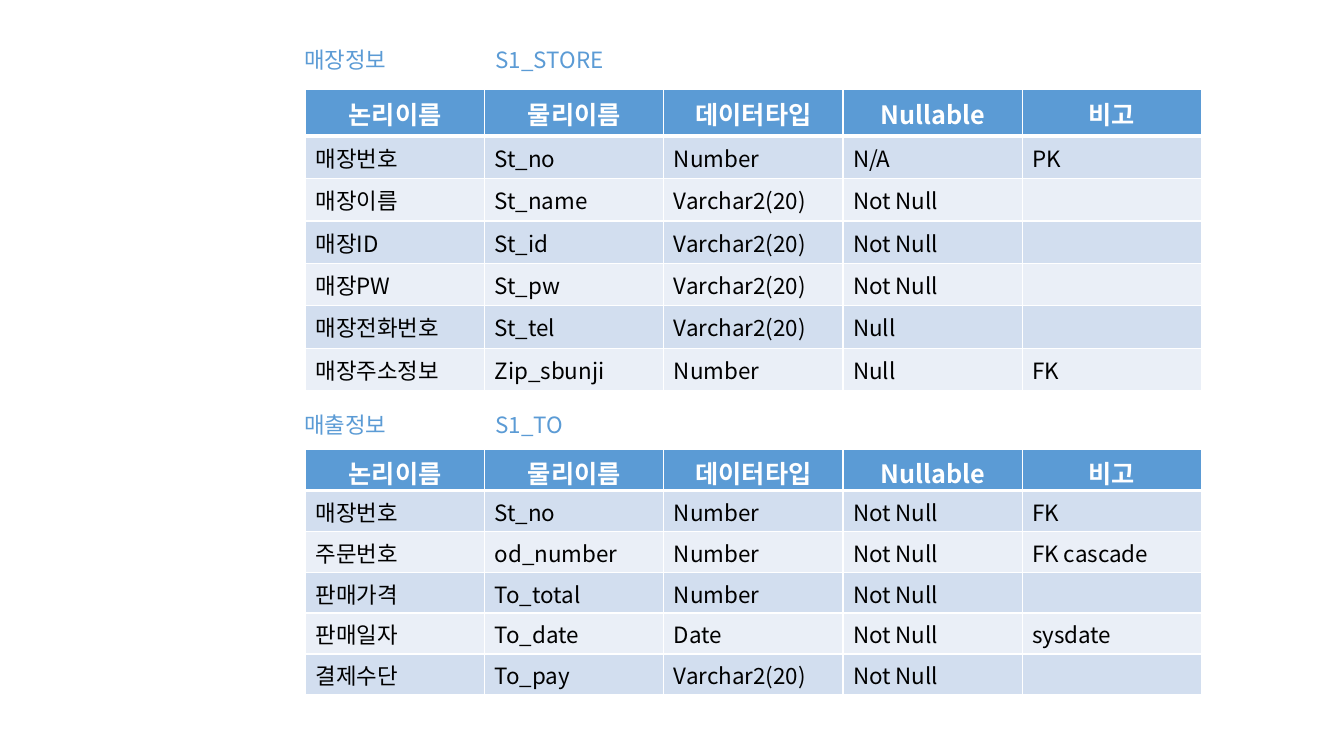
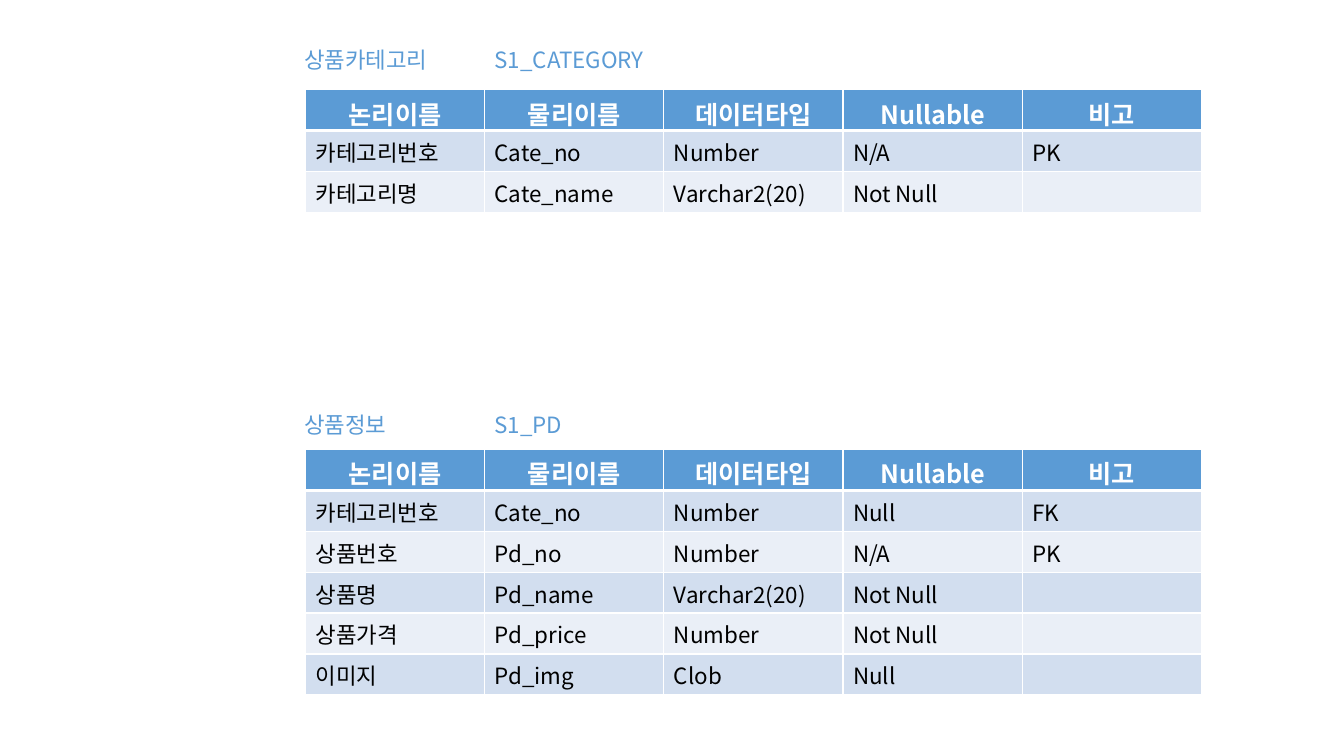
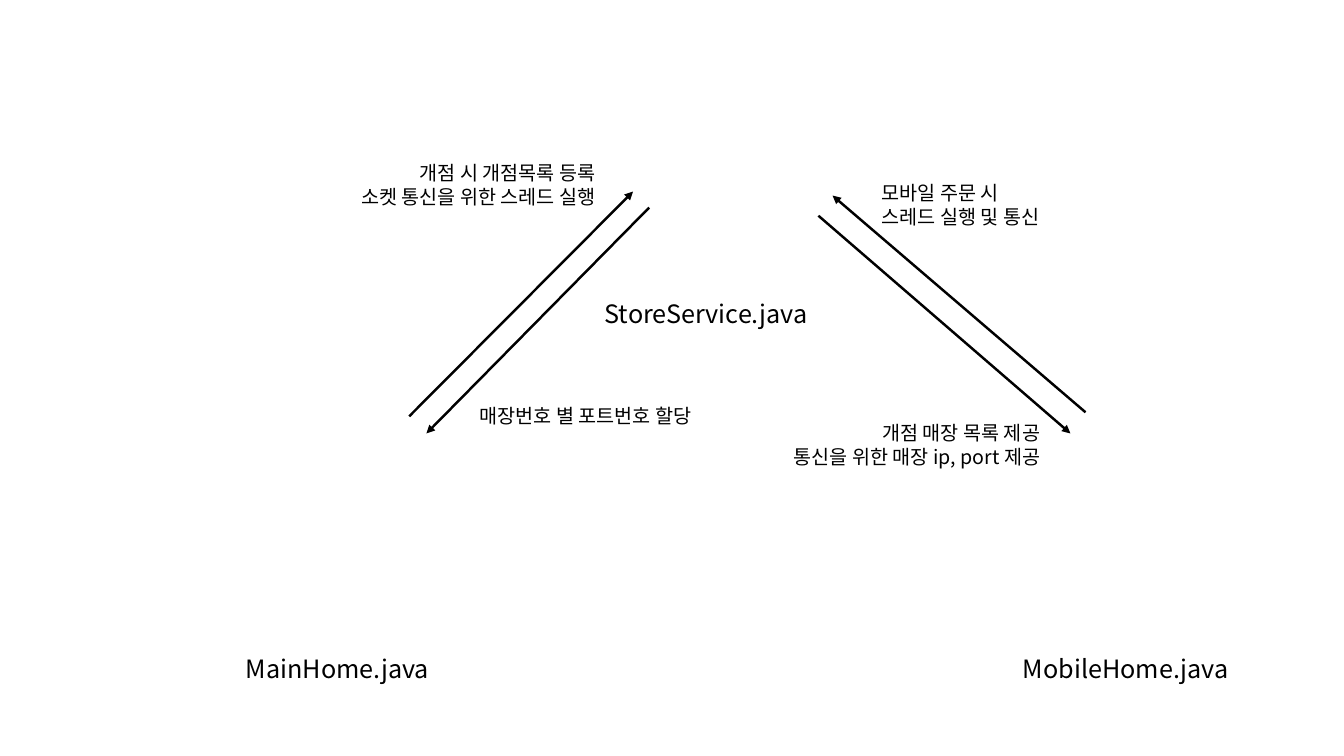
from lxml import etree
from pptx import Presentation
from pptx.dml.color import RGBColor
from pptx.enum import shapes, text
from pptx.oxml.ns import qn
from pptx.util import Pt

FONT = "Noto Sans CJK KR"
BLUE = RGBColor(0x5B, 0x9B, 0xD5)
BAND_DARK = RGBColor(0xD2, 0xDE, 0xEF)
BAND_LIGHT = RGBColor(0xEA, 0xEF, 0xF7)
WHITE = RGBColor(0xFF, 0xFF, 0xFF)
BLACK = RGBColor(0, 0, 0)
LEFT, RIGHT = text.PP_ALIGN.LEFT, text.PP_ALIGN.RIGHT

HEADER = ("논리이름", "물리이름", "데이터타입", "Nullable", "비고")
HEADER_FORMAT = {"size": Pt(18), "bold": True, "color": WHITE}
BODY_FORMAT = {"size": Pt(16), "bold": False, "color": BLACK}
CAPTION_FORMAT = {"size": Pt(16), "color": BLUE}
FILE_FORMAT = {"size": Pt(18), "color": BLACK}
NOTE_FORMAT = {"size": Pt(14), "color": BLACK}

TABLE_LEFT, COLUMN_WIDTH, ROW_HEIGHT = 218.2, 128, 29.2
CAPTION_LEFT, CAPTION_HEIGHT = 210.2, 26.6
# caption top, table top, bottom cell margin
UPPER = (29.5, 64.1, 3.6)
LOWER = (290.2, 321.1, 0)

# Per slide: left of the table names, then (place, caption, name, rows);
# caption and name are (text, box width)
TABLE_SLIDES = [
    (347, [
        (UPPER, ("매장정보", 76.3), ("S1_STORE", 107.3), [
            ("매장번호", "St_no", "Number", "N/A", "PK"),
            ("매장이름", "St_name", "Varchar2(20)", "Not Null", ""),
            ("매장ID", "St_id", "Varchar2(20)", "Not Null", ""),
            ("매장PW", "St_pw", "Varchar2(20)", "Not Null", ""),
            ("매장전화번호", "St_tel", "Varchar2(20)", "Null", ""),
            ("매장주소정보", "Zip_sbunji", "Number", "Null", "FK"),
        ]),
        (LOWER, ("매출정보", 76.3), ("S1_TO", 70.6), [
            ("매장번호", "St_no", "Number", "Not Null", "FK"),
            ("주문번호", "od_number", "Number", "Not Null", "FK cascade"),
            ("판매가격", "To_total", "Number", "Not Null", ""),
            ("판매일자", "To_date", "Date", "Not Null", "sysdate"),
            ("결제수단", "To_pay", "Varchar2(20)", "Not Null", ""),
        ]),
    ]),
    (346.2, [
        (UPPER, ("상품카테고리", 108), ("S1_CATEGORY", 151.9), [
            ("카테고리번호", "Cate_no", "Number", "N/A", "PK"),
            ("카테고리명", "Cate_name", "Varchar2(20)", "Not Null", ""),
        ]),
        (LOWER, ("상품정보", 76.3), ("S1_PD", 68.4), [
            ("카테고리번호", "Cate_no", "Number", "Null", "FK"),
            ("상품번호", "Pd_no", "Number", "N/A", "PK"),
            ("상품명", "Pd_name", "Varchar2(20)", "Not Null", ""),
            ("상품가격", "Pd_price", "Number", "Not Null", ""),
            ("이미지", "Pd_img", "Clob", "Null", ""),
        ]),
    ]),
]

# left, top, width, height, lines, format, alignment
FLOW_LABELS = [
    (168.5, 463, 173.5, 28.8, ["MainHome.java"], FILE_FORMAT, LEFT),
    (723.6, 463.4, 191.5, 28.8, ["MobileHome.java"], FILE_FORMAT, LEFT),
    (424.8, 209.5, 198, 28.8, ["StoreService.java"], FILE_FORMAT, LEFT),
    (239, 111.6, 193.7, 41, ["개점 시 개점목록 등록", "소켓 통신을 위한 스레드 실행"],
     NOTE_FORMAT, RIGHT),
    (335.5, 285.1, 176.4, 24.5, ["매장번호 별 포트번호 할당"], NOTE_FORMAT, LEFT),
    (543.6, 297.4, 206.6, 41, ["개점 매장 목록 제공", "통신을 위한 매장 ip, port 제공"],
     NOTE_FORMAT, RIGHT),
    (622.8, 126, 135.4, 41, ["모바일 주문 시", "스레드 실행 및 통신"], NOTE_FORMAT, LEFT),
]

# start x, start y, tip x, tip y
FLOW_ARROWS = [
    (292.3, 297.4, 452.2, 136.8),
    (463.7, 148.3, 304.6, 309.6),
    (584.6, 154.1, 764.6, 309.6),
    (775.4, 294.5, 594.7, 139.7),
]


def write(paragraph, words, styles, alignment):
    paragraph.alignment = alignment
    if not words:
        return
    run = paragraph.add_run()
    run.text = words
    run.font.name = FONT
    etree.SubElement(run.font._element, qn("a:ea"), typeface=FONT)
    for key, value in styles.items():
        if key == "color":
            run.font.color.rgb = value
        else:
            setattr(run.font, key, value)


def add_label(slide, left, top, width, height, lines, styles, alignment=LEFT):
    box = slide.shapes.add_textbox(Pt(left), Pt(top), Pt(width), Pt(height))
    frame = box.text_frame
    frame.word_wrap = False
    frame.auto_size = text.MSO_AUTO_SIZE.SHAPE_TO_FIT_TEXT
    for index, line in enumerate(lines):
        paragraph = frame.add_paragraph() if index else frame.paragraphs[0]
        write(paragraph, line, styles, alignment)


def add_borders(cell, top, bottom):
    """Draw white cell borders; top and bottom are widths in points."""
    properties = cell._tc.get_or_add_tcPr()
    for side, width in (("L", 1), ("R", 1), ("T", top), ("B", bottom)):
        line = etree.SubElement(properties, qn(f"a:ln{side}"), w=str(Pt(width)))
        fill = etree.SubElement(line, qn("a:solidFill"))
        etree.SubElement(fill, qn("a:srgbClr"), val=str(WHITE))


def add_schema_table(slide, top, bottom_margin, body):
    rows = [HEADER] + body
    table = slide.shapes.add_table(
        len(rows), len(HEADER), Pt(TABLE_LEFT), Pt(top),
        Pt(COLUMN_WIDTH * len(HEADER)), Pt(ROW_HEIGHT * len(rows))).table
    for column in table.columns:
        column.width = Pt(COLUMN_WIDTH)
    for row_index, values in enumerate(rows):
        table.rows[row_index].height = Pt(ROW_HEIGHT)
        if row_index == 0:
            fill, styles, alignment = BLUE, HEADER_FORMAT, text.PP_ALIGN.CENTER
        else:
            fill = BAND_DARK if row_index % 2 else BAND_LIGHT
            styles, alignment = BODY_FORMAT, text.PP_ALIGN.JUSTIFY
        for column_index, value in enumerate(values):
            cell = table.cell(row_index, column_index)
            cell.margin_bottom = Pt(bottom_margin)
            add_borders(cell, 3 if row_index == 1 else 1, 1 if row_index else 3)
            cell.fill.solid()
            cell.fill.fore_color.rgb = fill
            write(cell.text_frame.paragraphs[0], value, styles, alignment)


def add_arrow(slide, *ends):
    arrow = slide.shapes.add_connector(
        shapes.MSO_CONNECTOR.STRAIGHT, *(Pt(value) for value in ends))
    arrow.line.color.rgb = BLACK
    arrow.line.width = Pt(1.75)
    etree.SubElement(arrow.line._get_or_add_ln(), qn("a:tailEnd"), type="triangle")
    etree.SubElement(arrow._element.spPr, qn("a:effectLst"))


def main():
    presentation = Presentation()
    presentation.slide_width, presentation.slide_height = Pt(960), Pt(540)
    blank = presentation.slide_layouts[6]

    for name_left, tables in TABLE_SLIDES:
        slide = presentation.slides.add_slide(blank)
        for (caption_top, table_top, margin), caption, name, rows in tables:
            add_schema_table(slide, table_top, margin, rows)
            for left, (words, width) in ((CAPTION_LEFT, caption), (name_left, name)):
                add_label(slide, left, caption_top, width, CAPTION_HEIGHT,
                          [words], CAPTION_FORMAT)

    slide = presentation.slides.add_slide(blank)
    for arrow in FLOW_ARROWS:
        add_arrow(slide, *arrow)
    for label in FLOW_LABELS:
        add_label(slide, *label)

    presentation.save("out.pptx")


if __name__ == "__main__":
    main()
